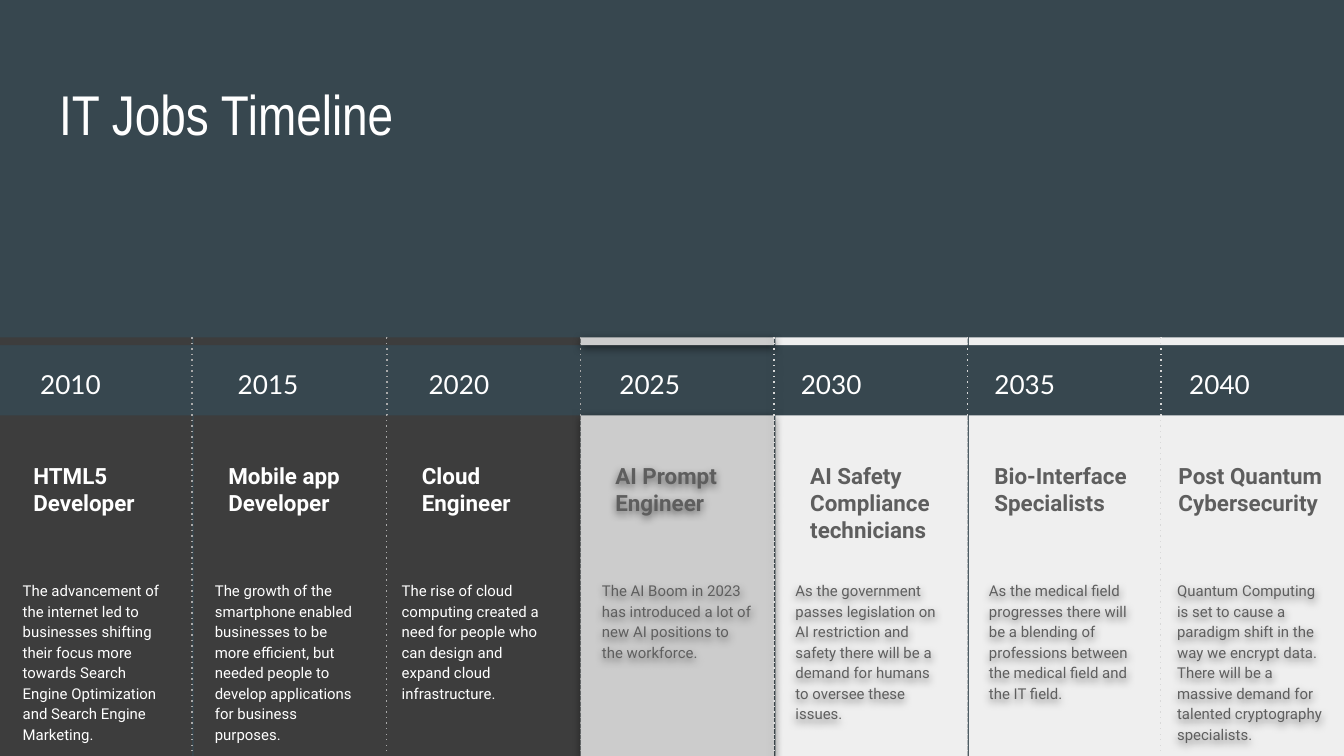
from dataclasses import dataclass

from lxml import etree
from pptx import Presentation
from pptx.dml.color import RGBColor
from pptx.enum.dml import MSO_LINE
from pptx.enum.shapes import MSO_CONNECTOR, MSO_SHAPE
from pptx.enum.text import MSO_ANCHOR, MSO_AUTO_SIZE, PP_ALIGN
from pptx.oxml.ns import qn
from pptx.util import Inches, Pt

RECT, STRAIGHT = MSO_SHAPE.RECTANGLE, MSO_CONNECTOR.STRAIGHT
DOT, TOP, LEFT = MSO_LINE.ROUND_DOT, MSO_ANCHOR.TOP, PP_ALIGN.LEFT
NO_FIT = MSO_AUTO_SIZE.NONE

SLATE = RGBColor(0x37, 0x47, 0x4F)
WHITE = RGBColor(0xFF, 0xFF, 0xFF)
CHARCOAL = RGBColor(0x3D, 0x3D, 0x3D)
SILVER = RGBColor(0xCC, 0xCC, 0xCC)
PALE = RGBColor(0xEF, 0xEF, 0xEF)
GREY = RGBColor(0x5E, 0x5E, 0x5E)
MID_LINE = RGBColor(0xAA, 0xAA, 0xAA)
LIGHT_LINE = RGBColor(0xD9, 0xD9, 0xD9)

TITLE_FONT = {"name": "Arial Narrow", "size": Pt(30), "bold": False}
YEAR_FONT = {"name": "Lato", "size": Pt(14)}
JOB_FONT = {"name": "Roboto", "size": Pt(12), "bold": True}
BODY_FONT = {"name": "Roboto", "size": Pt(8)}
SPACED = {"line_spacing": 1.15, "space_after": Pt(16)}

# Fill, text colour and divider colour of each era
PAST = (CHARCOAL, WHITE, MID_LINE)
PRESENT = (SILVER, GREY, LIGHT_LINE)
FUTURE = (PALE, GREY, LIGHT_LINE)

BAND_TOP, PANEL_TOP = 2.51, 3.09
BAND_HEIGHT, PANEL_HEIGHT, LINE_HEIGHT = 0.06, 2.54, 3.1


@dataclass
class Period:
    year: str
    job: str
    body: str
    era: tuple
    left: float
    width: float
    year_dx: float
    body_dx: float
    job_dx: float = 0.16
    job_width: float = 1.12
    divider: bool = True


# The present comes last so that its shadow falls on its neighbours
PERIODS = [
    Period("2010", "HTML5 Developer",
           "The advancement of the internet led to businesses shifting their focus more "
           "towards Search Engine Optimization and Search Engine Marketing.",
           PAST, -0.01, 1.44, 0.21, 0.08),
    Period("2015", "Mobile app Developer",
           "The growth of the smartphone enabled businesses to be more efficient, but "
           "needed people to develop applications for business purposes.",
           PAST, 1.44, 1.44, 0.23, 0.06),
    Period("2020", "Cloud Engineer",
           "The rise of cloud computing created a need for people who can design and "
           "expand cloud infrastructure.",
           PAST, 2.88, 1.44, 0.21, 0.01),
    Period("2030", "AI Safety Compliance technicians",
           "As the government passes legislation on AI restriction and safety there will "
           "be a demand for humans to oversee these issues.",
           FUTURE, 5.77, 1.43, 0.09, 0.05),
    Period("2035", "Bio-Interface Specialists",
           "As the medical field progresses there will be a blending of professions "
           "between the medical field and the IT field.",
           FUTURE, 7.21, 1.43, 0.09, 0.05, 0.09, 1.21),
    Period("2040", "Post Quantum\nCybersecurity",
           "Quantum Computing is set to cause a paradigm shift in the way we encrypt data. "
           "There will be a massive demand for talented cryptography specialists.",
           FUTURE, 8.64, 1.36, 0.11, 0.02, 0.03, 1.31, False),
    Period("2025", "AI Prompt Engineer",
           "The AI Boom in 2023 has introduced a lot of new AI positions to the workforce.",
           PRESENT, 4.32, 1.44, 0.19, 0.06),
]


def set_shadow(shape, visible):
    """Give the shape a soft shadow below it, or none at all."""
    effects = etree.SubElement(shape._element.spPr, qn("a:effectLst"))
    if visible:
        outer = etree.SubElement(effects, qn("a:outerShdw"), blurRad=str(Pt(4.5)),
                                 dist=str(Pt(1.5)), dir="5400000", algn="bl",
                                 rotWithShape="0")
        color = etree.SubElement(outer, qn("a:srgbClr"), val="000000")
        etree.SubElement(color, qn("a:alpha"), val="50000")


def write(shape, text, font, color, spacing):
    tf = shape.text_frame
    tf.word_wrap, tf.auto_size, tf.vertical_anchor = True, NO_FIT, TOP
    for side in ("left", "top", "right", "bottom"):
        setattr(tf, f"margin_{side}", Inches(0.1))
    tf.text = text
    for p in tf.paragraphs:
        p.alignment = LEFT
        for key, value in spacing.items():
            setattr(p, key, value)
        for key, value in font.items():
            setattr(p.runs[0].font, key, value)
        p.runs[0].font.color.rgb = color


def add_text(shapes, box, text, font, color, spacing, shadow=False):
    tb = shapes.add_textbox(*map(Inches, box))
    write(tb, text, font, color, spacing)
    if shadow:
        set_shadow(tb, True)


def add_title(slide, box):
    title = slide.shapes.title
    title.left, title.top, title.width, title.height = map(Inches, box)
    write(title, "IT Jobs Timeline", TITLE_FONT, WHITE, {"line_spacing": 1.0})


def add_period(slide, period):
    shapes = slide.shapes.add_group_shape().shapes
    fill, color, line_color = period.era
    left, width = period.left, period.width
    raised = period.era is PRESENT

    # Panel and the thin band above the year
    for top, height in ((PANEL_TOP, PANEL_HEIGHT), (BAND_TOP, BAND_HEIGHT)):
        sp = shapes.add_shape(RECT, *map(Inches, (left, top, width, height)))
        sp.fill.solid()
        sp.fill.fore_color.rgb = fill
        sp.line.fill.background()
        set_shadow(sp, raised)

    # Dotted divider on the right edge
    if period.divider:
        x = Inches(left + width)
        line = shapes.add_connector(STRAIGHT, x, Inches(BAND_TOP),
                                    x, Inches(BAND_TOP + LINE_HEIGHT))
        line.line.color.rgb = line_color
        line.line.width = Pt(0.75)
        line.line.dash_style = DOT
        # Widely spaced dots have no enum member
        line._element.spPr.find(f".//{qn('a:prstDash')}").set("val", "dot")
        set_shadow(line, raised)

    # Year, job and description
    add_text(shapes, (left + period.year_dx, 2.61, 0.95, 0.4),
             period.year, YEAR_FONT, WHITE, SPACED)
    add_text(shapes, (left + period.job_dx, 3.34, period.job_width, 0.87),
             period.job, JOB_FONT, color, {}, raised)
    add_text(shapes, (left + period.body_dx, 4.21, 1.32, 1.23),
             period.body, BODY_FONT, color, SPACED, period.era is not PAST)


def main():
    prs = Presentation()
    prs.slide_width = Inches(10)
    prs.slide_height = prs.slide_width * 9 // 16
    slide = prs.slides.add_slide(prs.slide_layouts[5])
    slide.background.fill.solid()
    slide.background.fill.fore_color.rgb = SLATE
    add_title(slide, (0.34, 0.49, 9.32, 0.63))
    for period in PERIODS:
        add_period(slide, period)
    prs.save("out.pptx")


if __name__ == "__main__":
    main()
